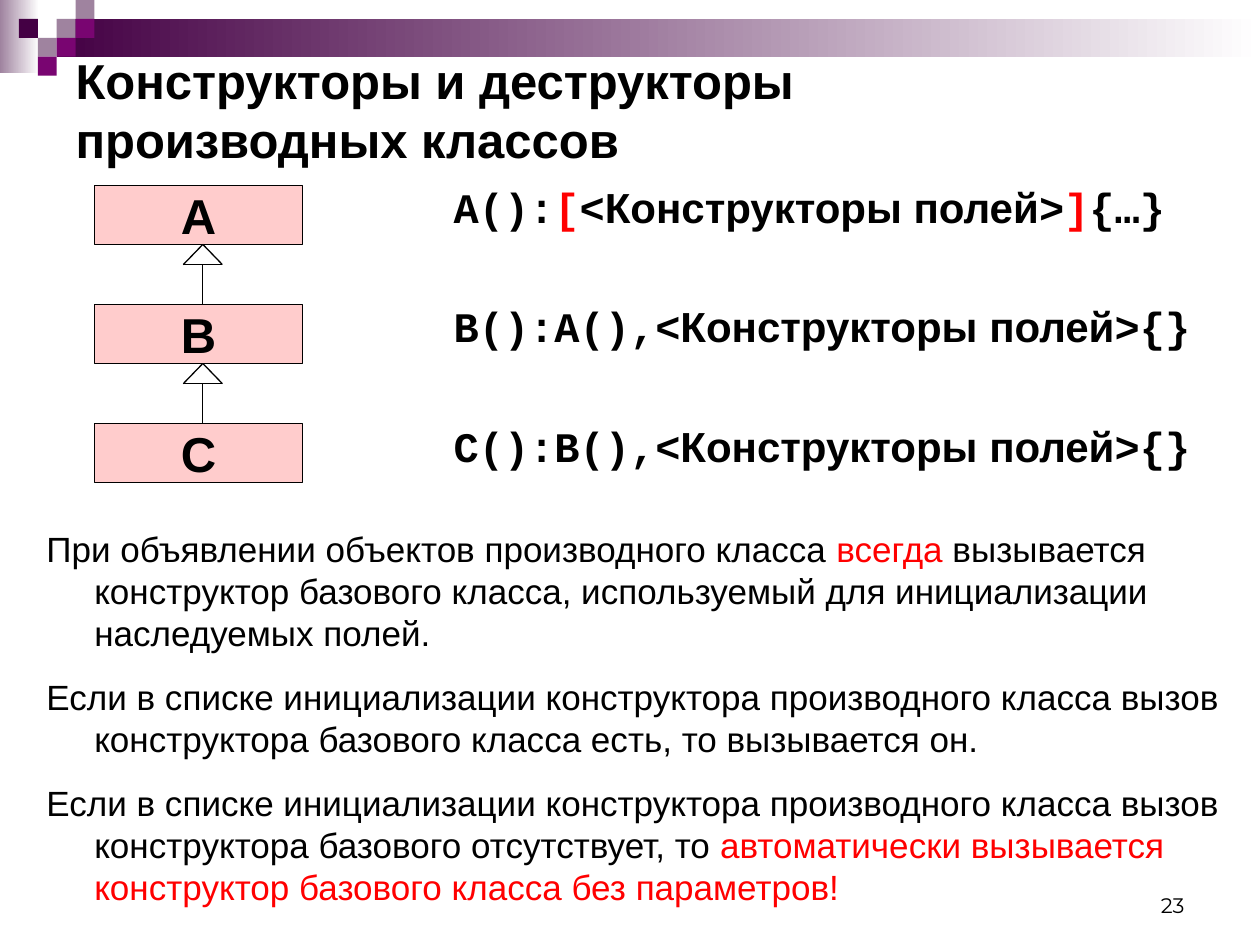
import pptx
import pptx.dml.color
import pptx.enum.dml
import pptx.enum.shapes
import pptx.enum.text
import pptx.oxml.ns
import pptx.util
from lxml import etree

Inches = pptx.util.Inches
Pt = pptx.util.Pt
RGB = pptx.dml.color.RGBColor
ALIGN = pptx.enum.text.PP_ALIGN
ANCHOR = pptx.enum.text.MSO_ANCHOR
qn = pptx.oxml.ns.qn

BLACK = RGB(0x00, 0x00, 0x00)
WHITE = RGB(0xFF, 0xFF, 0xFF)
RED = RGB(0xFF, 0x00, 0x00)
PINK = RGB(0xFF, 0xCC, 0xCC)
DARK = RGB(0x44, 0x00, 0x44)
PURPLE = RGB(0x79, 0x05, 0x71)
MAUVE = RGB(0x9F, 0x83, 0x9F)


class SlideBuilder:
    sans, mono = "Arial", "Courier New"
    indent = Inches(0.38)
    line_width = Pt(0.75)

    def __init__(self, slide):
        self.slide = slide

    def place(self, sp, x, y, w, h):
        sp.left, sp.top, sp.width, sp.height = map(Inches, (x, y, w, h))
        return sp

    def style(self, r, size, color=BLACK, font=sans, bold=False):
        r.font.size, r.font.name, r.font.bold = Pt(size), font, bold
        r.font.color.rgb = color

    def rect(self, x, y, w, h, color, fade=False):
        sp = self.slide.shapes.add_shape(
            pptx.enum.shapes.MSO_SHAPE.RECTANGLE, *map(Inches, (x, y, w, h)))
        sp.shadow.inherit = False
        sp.line.fill.background()
        if fade:
            sp.fill.gradient()
            sp.fill.gradient_angle = 0
            for stop, c in zip(sp.fill.gradient_stops, (color, WHITE)):
                stop.color.rgb = c
        else:
            sp.fill.solid()
            sp.fill.fore_color.rgb = color
        return sp

    def class_box(self, name, x, y, w, h):
        sp = self.rect(x, y, w, h, PINK)
        sp.line.color.rgb = BLACK
        sp.line.width = self.line_width
        tf = sp.text_frame
        tf.text = name
        tf.word_wrap = False
        tf.vertical_anchor = ANCHOR.MIDDLE
        p = tf.paragraphs[0]
        p.alignment = ALIGN.CENTER
        self.style(p.runs[0], 28, bold=True)

    def line(self, x1, y1, x2, y2):
        cn = self.slide.shapes.add_connector(
            pptx.enum.shapes.MSO_CONNECTOR.STRAIGHT,
            *map(Inches, (x1, y1, x2, y2)))
        cn.line.color.rgb = BLACK
        cn.line.width = self.line_width
        etree.SubElement(cn._element.spPr, qn("a:effectLst"))

    def inheritance(self, x, top, bottom):
        """Hollow triangle pointing up, with a stem below it."""
        base, half = top + 0.16, 0.155
        self.line(x, bottom, x, base)
        self.line(x - half, base, x + half, base)
        for side in (-half, half):
            self.line(x, top, x + side, base)

    def title(self, text, *box):
        sp = self.place(self.slide.shapes.title, *box)
        tf = sp.text_frame
        tf.text = text
        tf.auto_size = pptx.enum.text.MSO_AUTO_SIZE.NONE
        tf.vertical_anchor = ANCHOR.MIDDLE
        p = tf.paragraphs[0]
        p.alignment = ALIGN.LEFT
        for r in p.runs:
            self.style(r, 28, bold=True)

    def paragraphs(self, sp, items, size, gap, bold=False):
        """Hanging paragraphs; each item is a list of (text, colour, font)."""
        tf = sp.text_frame
        tf.word_wrap = True
        tf.auto_size = pptx.enum.text.MSO_AUTO_SIZE.NONE
        for i, parts in enumerate(items):
            p = tf.add_paragraph() if i else tf.paragraphs[0]
            pPr = p._p.get_or_add_pPr()
            pPr.set("marL", str(self.indent))
            pPr.set("indent", str(-self.indent))
            etree.SubElement(pPr, qn("a:buNone"))
            p.space_before = Pt(gap if i else 0)
            for text, color, font in parts:
                r = p.add_run()
                r.text = text
                self.style(r, size, color, font, bold)

    def text_box(self, x, y, w, h):
        return self.slide.shapes.add_textbox(*map(Inches, (x, y, w, h)))

    def page_number(self, text, *box):
        tf = self.text_box(*box).text_frame
        tf.text = text
        tf.word_wrap = True
        tf.vertical_anchor = ANCHOR.BOTTOM
        p = tf.paragraphs[0]
        p.alignment = ALIGN.RIGHT
        self.style(p.runs[0], 12, font="Montserrat")


def main():
    prs = pptx.Presentation()
    prs.slide_width, prs.slide_height = Inches(10), Inches(7.5)
    s = SlideBuilder(prs.slides.add_slide(prs.slide_layouts[1]))
    sans, mono = s.sans, s.mono

    # Header band and mosaic
    s.rect(0, 0, 0.31, 0.58, MAUVE, fade=True)
    s.rect(0.45, 0.15, 9.55, 0.3, DARK, fade=True)
    tile = 0.15
    for col, row, color in ((3, 1, MAUVE), (4, 0, MAUVE), (4, 1, PURPLE),
                            (2, 2, MAUVE), (1, 1, DARK), (3, 2, PURPLE),
                            (2, 3, PURPLE)):
        s.rect(col * tile, row * tile, tile, tile, color)

    s.page_number("23", 7.17, 6.83, 2.33, 0.5)
    s.title("Конструкторы и деструкторы\vпроизводных классов",
            0.5, 0.36, 9, 1.02)

    # Constructor signatures
    fields = ("Конструкторы полей", BLACK, sans)
    signatures = [[("A():", BLACK, mono), ("[", RED, mono),
                   ("<", BLACK, mono), fields, (">", BLACK, mono),
                   ("]", RED, mono), ("{…}", BLACK, mono)]]
    for head in ("B():A(),<", "C():B(),<"):
        signatures.append([(head, BLACK, mono), fields, (">{}", BLACK, mono)])
    body = s.place(s.slide.placeholders[1], 3.5, 1.39, 6.14, 2.76)
    s.paragraphs(body, signatures, 24, 39.5, bold=True)

    # Class hierarchy
    top, pitch, height = 1.47, 0.945, 0.47
    for i, name in enumerate("ABC"):
        y = top + i * pitch
        s.class_box(name, 0.75, y, 1.65, height)
        if i:
            s.inheritance(1.61, y - pitch + height, y)

    # Explanation
    listed = "Если в списке инициализации конструктора производного класса вызов "
    notes = [
        [("При объявлении объектов производного класса ", BLACK, sans),
         ("всегда", RED, sans),
         (" вызывается конструктор базового класса, используемый для "
          "инициализации наследуемых полей.", BLACK, sans)],
        [(listed + "конструктора базового класса есть, то вызывается он.",
          BLACK, sans)],
        [(listed + "конструктора базового отсутствует, то ", BLACK, sans),
         ("автоматически вызывается конструктор базового класса "
          "без параметров!", RED, sans)],
    ]
    s.paragraphs(s.text_box(0.27, 4.14, 9.61, 3.12), notes, 20, 12.5)

    prs.save("out.pptx")


if __name__ == "__main__":
    main()
